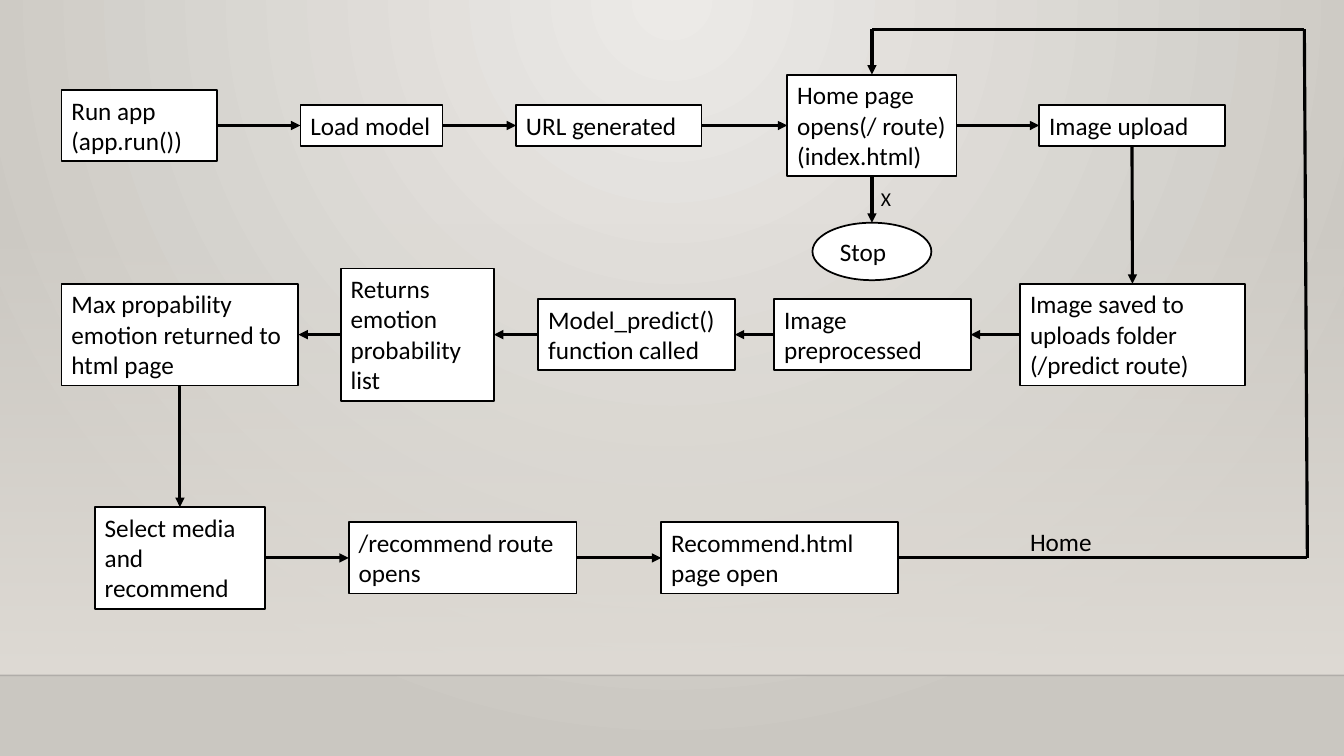
from dataclasses import dataclass
from itertools import pairwise

from lxml import etree
from pptx import Presentation, util as u
from pptx.dml.color import RGBColor
from pptx.enum import shapes, text
from pptx.oxml import ns

CELL = 0.1
COLUMNS, ROWS = 133.33, 75
TOP, LEFT, BOTTOM, RIGHT = range(4)


@dataclass(frozen=True)
class Theme:
    font: str = "Calibri"
    body: float = 18
    small: float = 14
    outline: float = 1.25
    arrow: float = 2.25
    rule: float = 1
    ink: str = "000000"
    paper: str = "FFFFFF"
    wall_light: str = "ECEAE7"
    wall_dark: str = "CAC7C1"
    floor: str = "DFDBD5"
    floor_rule: str = "000001"


@dataclass(frozen=True)
class Step:
    wording: str
    column: float
    columns: float
    lines: int

    @property
    def rows(self) -> float:
        return 1 + 3.03 * self.lines


@dataclass(frozen=True)
class Lane:
    centre: float
    steps: tuple[Step, ...]


@dataclass(frozen=True)
class Label:
    wording: str
    column: float
    row: float
    columns: float
    rows: float
    size: float


THEME = Theme()

LANES = (
    Lane(12.45, (
        Step("Run app (app.run())", 6.1, 15.4, 2),
        Step("Load model", 29.8, 14.1, 1),
        Step("URL generated", 51.2, 18.4, 1),
        Step("Home page opens(/ route)\n(index.html)", 78.1, 16.8, 3),
        Step("Image upload", 103.1, 18.4, 1),
    )),
    Lane(33.2, (
        Step("Image saved to uploads folder (/predict route)", 101.2, 22.3, 3),
        Step("Image preprocessed", 76.8, 19.5, 2),
        Step("Model_predict() function called", 53.4, 19.5, 2),
        Step("Returns emotion probability list", 33.8, 15.2, 4),
        Step("Max propability emotion returned to html page", 6.1, 23.5, 3),
    )),
    Lane(55.35, (
        Step("Select media and recommend", 9.4, 16.9, 3),
        Step("/recommend route opens", 34.6, 22.6, 2),
        Step("Recommend.html page open", 65.6, 23.5, 2),
    )),
)
HOME_STEP = 3
STOP = Label("Stop", 80.6, 22.1, 11.8, 5.7, THEME.body)
CAPTIONS = (
    Label("X", 86.4, 18.1, 3.3, 3.4, THEME.small),
    Label("Home", 101.2, 51.7, 9.7, 4, THEME.body),
)
RETURN_PATH = ((89.1, 55.35), (129.7, 55.35), (129.4, 2.9), (86.5, 2.9), (86.5, 7.4))


def grid(cells: float) -> u.Length:
    return u.Inches(cells * CELL)


def colour(code: str) -> RGBColor:
    return RGBColor.from_string(code)


def set_alpha(parent, percent: int) -> None:
    for tone in parent.iter(ns.qn("a:srgbClr")):
        etree.SubElement(tone, ns.qn("a:alpha")).set("val", str(percent * 1000))


def write(box, wording: str, size: float) -> None:
    frame = box.text_frame
    frame.text = wording
    frame.word_wrap = True
    frame.auto_size = text.MSO_AUTO_SIZE.SHAPE_TO_FIT_TEXT
    frame.vertical_anchor = text.MSO_ANCHOR.TOP
    for para in frame.paragraphs:
        para.alignment = text.PP_ALIGN.LEFT
        for span in para.runs:
            span.font.name = THEME.font
            span.font.size = u.Pt(size)
            span.font.color.rgb = colour(THEME.ink)


def add_node(page, preset, column: float, row: float, columns: float, rows: float, wording: str):
    node = page.shapes.add_shape(preset, *map(grid, (column, row, columns, rows)))
    node.shadow.inherit = False
    node.fill.solid()
    node.fill.fore_color.rgb = colour(THEME.paper)
    node.line.color.rgb = colour(THEME.ink)
    node.line.width = u.Pt(THEME.outline)
    write(node, wording, THEME.body)
    return node


def add_line(page, start=(0, 0), end=(0, 0), tone: str = THEME.ink, width: float = THEME.arrow, arrow: bool = False):
    line = page.shapes.add_connector(shapes.MSO_CONNECTOR.STRAIGHT, *map(grid, (*start, *end)))
    line.line.color.rgb = colour(tone)
    line.line.width = u.Pt(width)
    if arrow:
        etree.SubElement(line.line._get_or_add_ln(), ns.qn("a:tailEnd")).set("type", "triangle")
    etree.SubElement(line._element.spPr, ns.qn("a:effectLst"))
    return line


def join(page, source, source_side: int, target, target_side: int) -> None:
    arrow = add_line(page, arrow=True)
    arrow.begin_connect(source, source_side)
    arrow.end_connect(target, target_side)


def set_stops(fill, *codes: str) -> None:
    fill.gradient()
    for stop, code in zip(fill.gradient_stops, codes):
        stop.color.rgb = colour(code)


def draw_backdrop(page) -> None:
    set_stops(page.background.fill, THEME.wall_light, THEME.wall_dark)
    gradient = page.element.find(".//" + ns.qn("a:gradFill"))
    gradient.remove(gradient.find(ns.qn("a:lin")))
    circle = etree.SubElement(gradient, ns.qn("a:path"), {"path": "circle"})
    etree.SubElement(circle, ns.qn("a:fillToRect"), {"l": "43000", "t": "0", "r": "43000", "b": "100000"})

    floor = page.shapes.add_shape(shapes.MSO_SHAPE.RECTANGLE, *map(grid, (0, 22.1, COLUMNS, 44.9)))
    floor.shadow.inherit = False
    floor.line.fill.background()
    set_stops(floor.fill, THEME.floor, THEME.floor)
    floor.fill.gradient_angle = 270
    set_alpha(floor._element.spPr.find(".//" + ns.qn("a:gs")), 0)
    rule = add_line(page, (0, 67), (COLUMNS, 67), THEME.floor_rule, THEME.rule)
    set_alpha(rule._element.spPr, 20)


def draw_lane(page, lane: Lane) -> list:
    nodes = [
        add_node(page, shapes.MSO_SHAPE.RECTANGLE, step.column, lane.centre - step.rows / 2,
                 step.columns, step.rows, step.wording)
        for step in lane.steps
    ]
    for source, target in pairwise(nodes):
        sides = (RIGHT, LEFT) if source.left < target.left else (LEFT, RIGHT)
        join(page, source, sides[0], target, sides[1])
    return nodes


def main() -> None:
    deck = Presentation()
    deck.slide_width, deck.slide_height = grid(COLUMNS), grid(ROWS)
    page = deck.slides.add_slide(deck.slide_layouts[6])
    draw_backdrop(page)

    lanes = [draw_lane(page, lane) for lane in LANES]
    for upper, lower in pairwise(lanes):
        join(page, upper[-1], BOTTOM, lower[0], TOP)
    stop = add_node(page, shapes.MSO_SHAPE.OVAL, STOP.column, STOP.row, STOP.columns, STOP.rows, STOP.wording)
    join(page, lanes[0][HOME_STEP], BOTTOM, stop, TOP)

    for start, end in pairwise(RETURN_PATH):
        add_line(page, start, end, arrow=end == RETURN_PATH[-1])
    for label in CAPTIONS:
        box = page.shapes.add_textbox(*map(grid, (label.column, label.row, label.columns, label.rows)))
        write(box, label.wording, label.size)

    deck.save("out.pptx")


if __name__ == "__main__":
    main()
